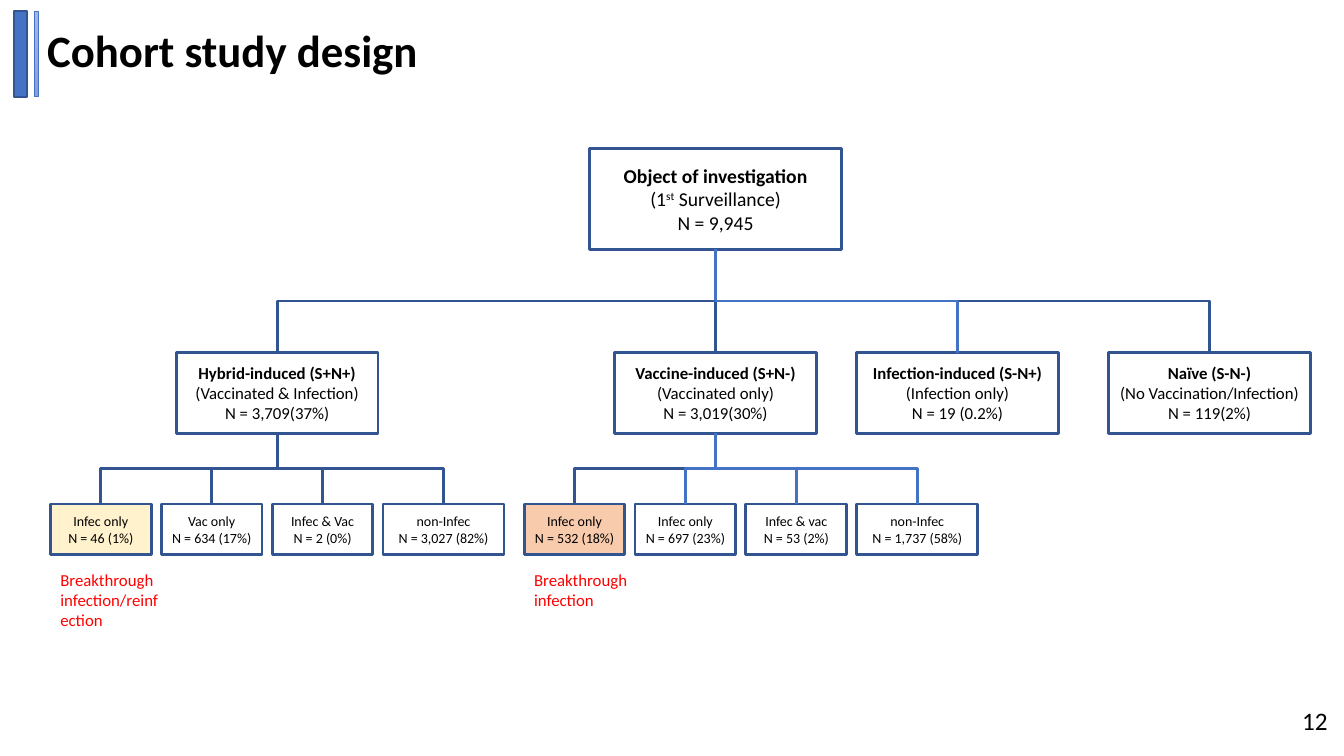
from lxml import etree
from pptx import Presentation
from pptx.dml.color import RGBColor
from pptx.enum import shapes, text
from pptx.oxml import ns
from pptx.util import Pt

BLACK = RGBColor(0x00, 0x00, 0x00)
RED = RGBColor(0xFF, 0x00, 0x00)
NAVY = RGBColor(0x32, 0x54, 0x91)
BLUE = RGBColor(0x44, 0x72, 0xC4)
YELLOW = RGBColor(0xFF, 0xF2, 0xCC)
ORANGE = RGBColor(0xF8, 0xCB, 0xAD)
PALE_TOP = RGBColor(0xA8, 0xB7, 0xDF)
PALE_BOTTOM = RGBColor(0x88, 0x9E, 0xD7)

# Content: a span is (text, format values)
TITLE = "Cohort study design"
PAGE_NUMBER = "12"
ROOT = [[("Object of investigation", {"bold": True})],
        [("(1", {}), ("st", {"superscript": True}), (" Surveillance)", {})],
        [("N = 9,945", {})]]
# Groups: left edge, link colour, heading, description, count
GROUPS = {
    "hybrid": (126, NAVY, "Hybrid-induced (S+N+)", "(Vaccinated & Infection)", "N = 3,709(37%)"),
    "vaccine": (439.2, NAVY, "Vaccine-induced (S+N-)", "(Vaccinated only)", "N = 3,019(30%)"),
    "naive": (792, NAVY, "Naïve (S-N-)", "(No Vaccination/Infection)", "N = 119(2%)"),
    "infection": (612, BLUE, "Infection-induced (S-N+)", "(Infection only)", "N = 19 (0.2%)"),
}
# Outcomes: width, fill, link colour, label, count
OUTCOMES = {
    "hybrid": (36, "Breakthrough infection/reinfection", [
        (72, YELLOW, NAVY, "Infec only", "N = 46 (1%)"),
        (72, None, NAVY, "Vac only", "N = 634 (17%)"),
        (72, None, NAVY, "Infec & Vac", "N = 2 (0%)"),
        (86.4, None, NAVY, "non-Infec", "N = 3,027 (82%)")]),
    "vaccine": (374.4, "Breakthrough infection", [
        (72, ORANGE, NAVY, "Infec only", "N = 532 (18%)"),
        (72, None, BLUE, "Infec only", "N = 697 (23%)"),
        (72, None, BLUE, "Infec & vac", "N = 53 (2%)"),
        (86.4, None, BLUE, "non-Infec", "N = 1,737 (58%)")]),
}
ROOT_AREA = (421.2, 106, 180, 72)
GROUP_TOP, GROUP_WIDTH, GROUP_HEIGHT = 252, 144, 57.6
OUTCOME_TOP, OUTCOME_HEIGHT, OUTCOME_GAP = 360, 36, 7.2
NOTE_TOP, NOTE_WIDTH = 403.2, 86.4

deck = Presentation()
deck.slide_width, deck.slide_height = Pt(960), Pt(540)
page = deck.slides.add_slide(deck.slide_layouts[6])


def write(frame, lines, size, color=BLACK, align=text.PP_ALIGN.LEFT):
    for index, spans in enumerate(lines):
        para = frame.paragraphs[0] if index == 0 else frame.add_paragraph()
        para.alignment = align
        for words, extra in spans:
            span = para.add_run()
            span.text = words
            values = {"name": "Calibri", "size": Pt(size), "bold": False, **extra}
            if values.pop("superscript", False):
                span.font._element.set("baseline", "30000")
            for name, value in values.items():
                setattr(span.font, name, value)
            span.font.color.rgb = color


def add_label(area, words, size, color=BLACK, bold=False, wrap=True,
              anchor=text.MSO_ANCHOR.TOP):
    box = page.shapes.add_textbox(*map(Pt, area))
    box.text_frame.word_wrap = wrap
    box.text_frame.vertical_anchor = anchor
    write(box.text_frame, [[(words, {"bold": bold})]], size, color)
    return box


def add_box(area, fill=None, line=NAVY, weight=2):
    box = page.shapes.add_shape(shapes.MSO_SHAPE.RECTANGLE, *map(Pt, area))
    box.shadow.inherit = False
    if fill is None:
        box.fill.background()
    else:
        box.fill.solid()
        box.fill.fore_color.rgb = fill
    box.line.color.rgb = line
    box.line.width = Pt(weight)
    return box


def add_node(area, lines, size, fill=None):
    box = add_box(area, fill)
    box.text_frame.word_wrap = True
    box.text_frame.vertical_anchor = text.MSO_ANCHOR.MIDDLE
    write(box.text_frame, lines, size, align=text.PP_ALIGN.CENTER)
    return box


def add_link(parent, child, color):
    """Elbow from the bottom of parent to the top of child, turned to leave downwards."""
    start_x, start_y = parent.left + parent.width // 2, parent.top + parent.height
    end_x, end_y = child.left + child.width // 2, child.top
    drop, reach = end_y - start_y, abs(end_x - start_x)
    link = page.shapes.add_connector(shapes.MSO_CONNECTOR.ELBOW, start_x, start_y, end_x, end_y)
    link.begin_connect(parent, 2)
    link.end_connect(child, 0)
    frame = {"left": (start_x + end_x - drop) // 2, "top": (start_y + end_y - reach) // 2,
             "width": drop, "height": reach}
    for name, value in frame.items():
        setattr(link, name, value)
    turn = link._element.spPr.find(ns.qn("a:xfrm"))
    for name, value in {"rot": "5400000", "flipH": "0", "flipV": str(int(end_x > start_x))}.items():
        turn.set(name, value)
    link.line.color.rgb = color
    link.line.width = Pt(2)
    etree.SubElement(link._element.spPr, ns.qn("a:effectLst"))


# Title with its two bars
add_box((10, 8, 9.4, 61.2), BLUE, NAVY, 1)
thin_bar = add_box((24.4, 8, 2.9, 61.2), PALE_TOP, BLUE, 0.5)
thin_bar.fill.gradient()
thin_bar.fill.gradient_angle = 270
for stop, (place, shade) in zip(thin_bar.fill.gradient_stops, [(0, PALE_TOP), (1, PALE_BOTTOM)]):
    stop.position = place
    stop.color.rgb = shade
title = add_label((26.6, 9.4, 304, 57.6), TITLE, 32, bold=True, anchor=text.MSO_ANCHOR.MIDDLE)
title.text_frame.paragraphs[0].line_spacing = 0.9

# Root and immunity groups
root = add_node(ROOT_AREA, ROOT, 14)
nodes = {}
for key, (left, color, heading, *details) in GROUPS.items():
    lines = [[(heading, {"bold": True})]] + [[(words, {})] for words in details]
    nodes[key] = add_node((left, GROUP_TOP, GROUP_WIDTH, GROUP_HEIGHT), lines, 12)
    add_link(root, nodes[key], color)

# Outcomes below their groups, with the red notes
for key, (left, note, outcomes) in OUTCOMES.items():
    add_label((left, NOTE_TOP, NOTE_WIDTH, 36), note, 12, RED)
    for width, fill, color, *lines in outcomes:
        node = add_node((left, OUTCOME_TOP, width, OUTCOME_HEIGHT),
                        [[(words, {})] for words in lines], 10, fill)
        add_link(nodes[key], node, color)
        left += width + OUTCOME_GAP

# Page number
add_label((923, 500.4, 33.1, 28.8), PAGE_NUMBER, 18, wrap=False)

deck.save("out.pptx")
